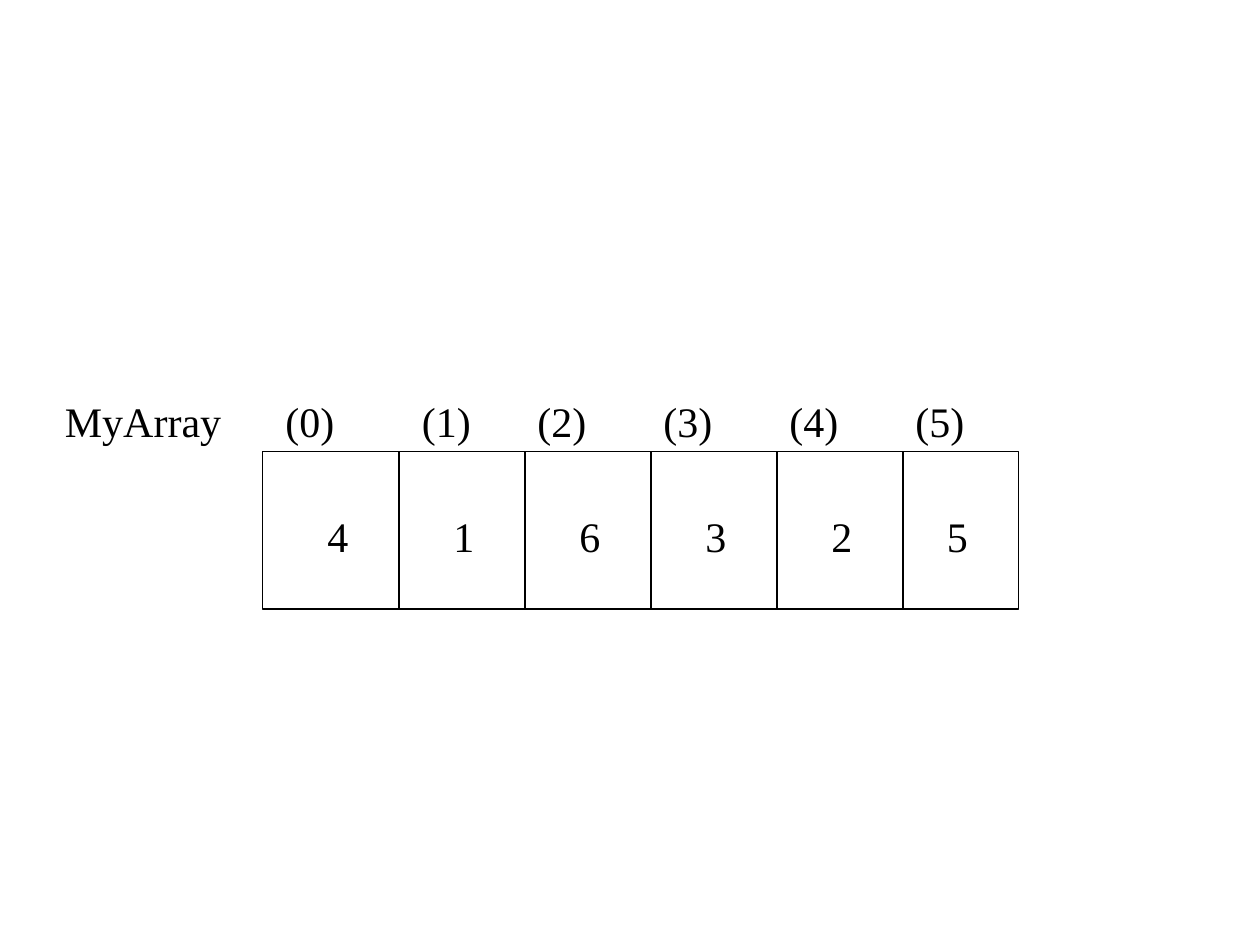
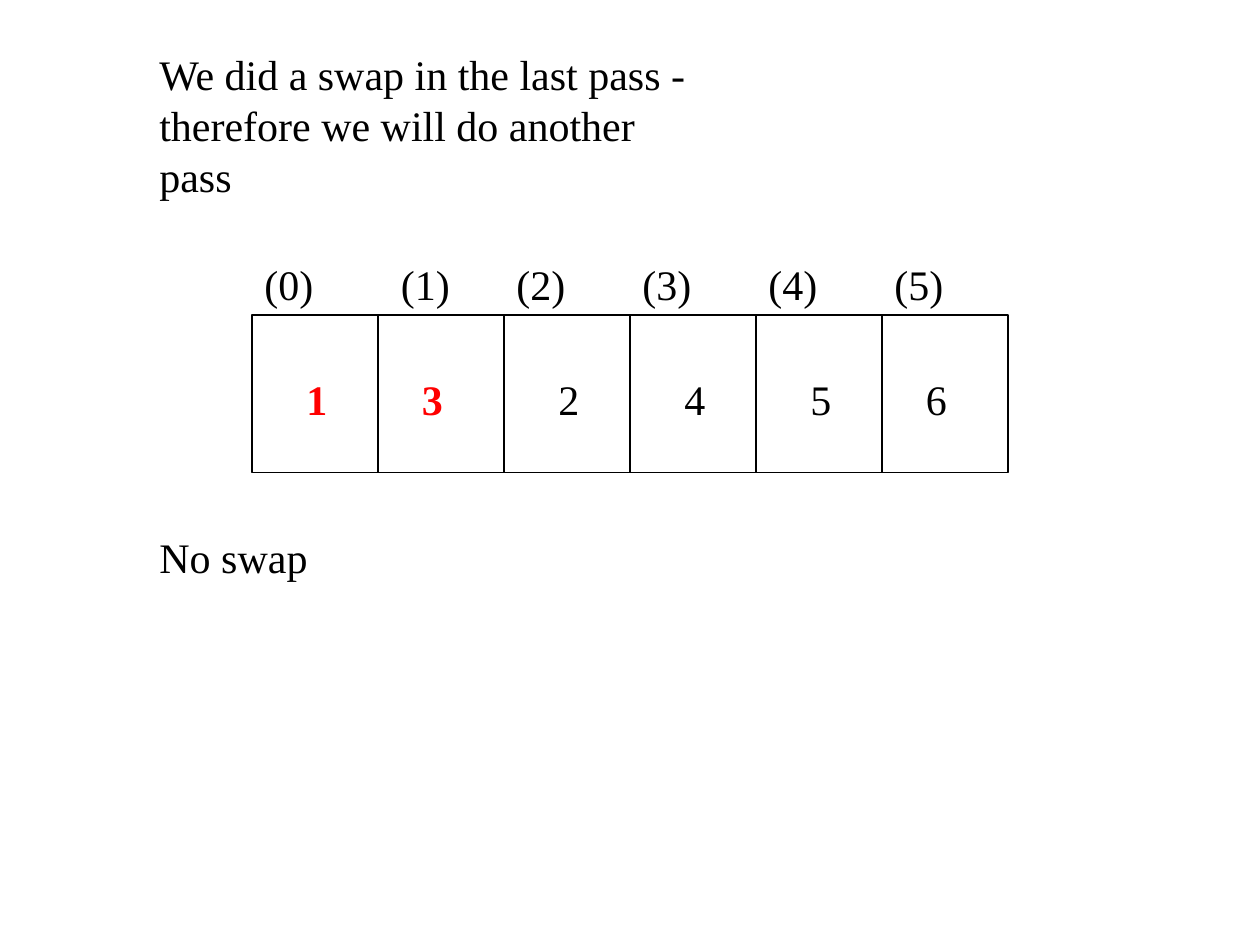
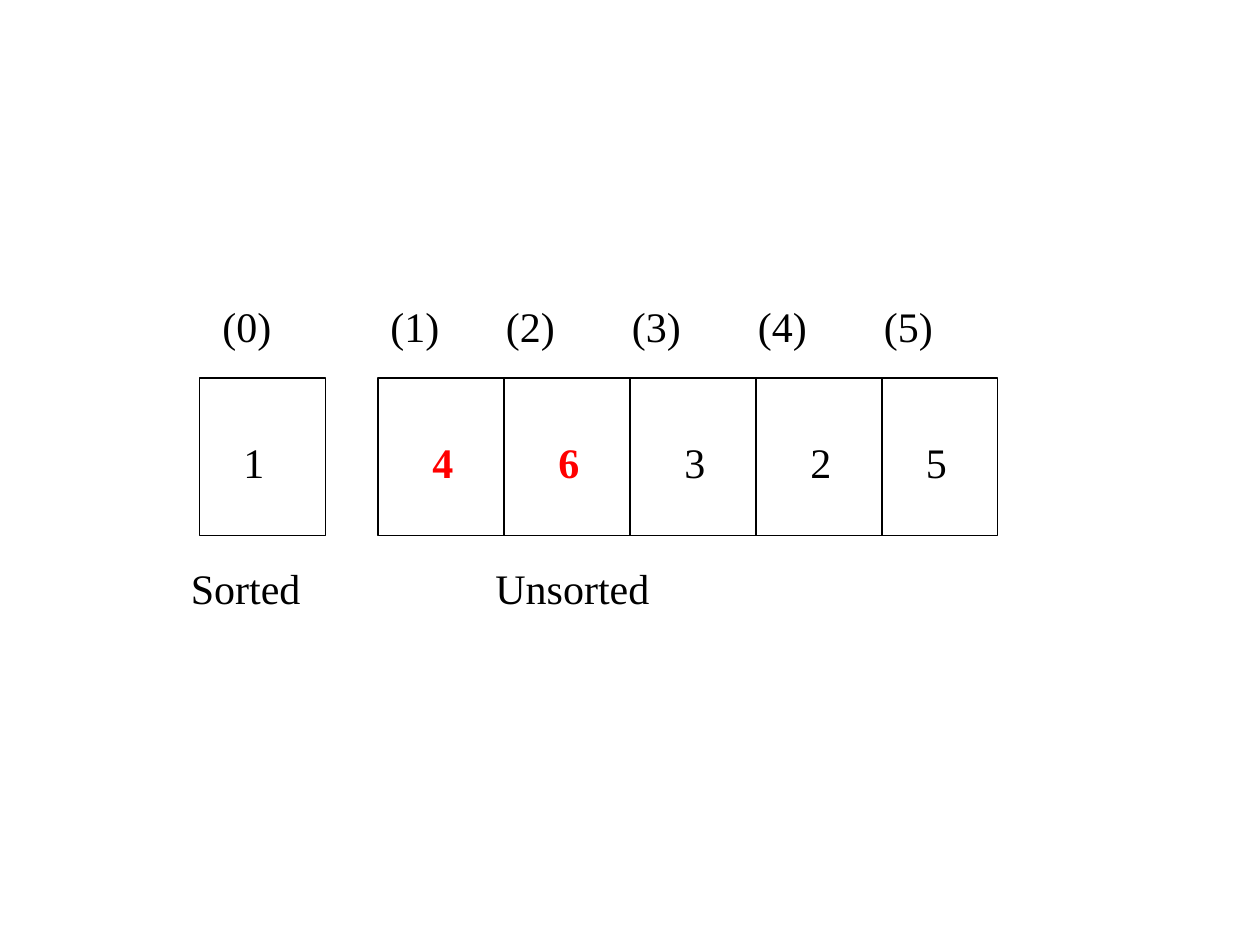
from dataclasses import dataclass

from pptx import Presentation
from pptx.dml.color import RGBColor as RGB
from pptx.enum.shapes import MSO_CONNECTOR as Conn, MSO_SHAPE as Shape
from pptx.enum.text import MSO_AUTO_SIZE as Fit
from pptx.oxml.ns import qn
from pptx.util import Pt
from lxml.etree import SubElement


@dataclass(frozen=True)
class Theme:
    font: str = "Times New Roman"
    size: float = 24
    lead: float = 29
    rule: float = 0.75
    ink: RGB = RGB(0, 0, 0)
    mark: RGB = RGB(255, 0, 0)


PITCH = 72
HIGH = 90
ROW = 36
INDEX_STEPS = (0, 78, 144, 216, 288, 360)
INDEX_WIDTHS = (60, 48, 48, 60, 66, 48)
VALUE_WIDTHS = (30, 36, 36, 30, 30, 42)


class Deck:
    def __init__(self, theme):
        self.theme = theme
        self.prs = Presentation()
        self.prs.slide_width, self.prs.slide_height = Pt(720), Pt(540)
        self.shapes = None

    def page(self):
        blank = self.prs.slide_layouts[6]
        self.shapes = self.prs.slides.add_slide(blank).shapes

    def text(self, words, left, top, width, high=ROW, hot=False):
        box = self.shapes.add_textbox(Pt(left), Pt(top), Pt(width), Pt(high))
        frame = box.text_frame
        frame.word_wrap = True
        frame.auto_size = Fit.SHAPE_TO_FIT_TEXT
        para = frame.paragraphs[0]
        para.text = words
        para.line_spacing = Pt(self.theme.lead)
        font = para.font
        font.name, font.size = self.theme.font, Pt(self.theme.size)
        font.bold = hot
        font.color.rgb = self.theme.mark if hot else self.theme.ink

    def pen(self, item):
        item.line.color.rgb = self.theme.ink
        item.line.width = Pt(self.theme.rule)

    def split(self, box, x):
        """Draw a divider down the box at x."""
        line = self.shapes.add_connector(
            Conn.STRAIGHT, Pt(x), box.top, Pt(x), box.top + box.height)
        self.pen(line)
        SubElement(line._element.spPr, qn("a:effectLst"))
        if Pt(x) == box.left + box.width // 2:
            line.begin_connect(box, 0)
            line.end_connect(box, 2)

    def cells(self, left, top, width, first=0, count=0):
        """Draw a box with evenly spaced dividers from x = first."""
        box = self.shapes.add_shape(
            Shape.RECTANGLE, Pt(left), Pt(top), Pt(width), Pt(HIGH))
        box.shadow.inherit = False
        box.fill.background()
        self.pen(box)
        for i in range(count):
            self.split(box, first + PITCH * i)

    def values(self, digits, left, top, nudges, hot=()):
        for i, (digit, width) in enumerate(zip(digits, VALUE_WIDTHS)):
            x = left + PITCH * i + nudges.get(i, 0)
            self.text(digit, x, top, width, hot=i in hot)

    def indices(self, left, top, shift=0):
        """Label the slots; shift moves slot 0 alone."""
        for i, (step, width) in enumerate(zip(INDEX_STEPS, INDEX_WIDTHS)):
            x = left + step + (0 if i else shift)
            self.text(f"({i})", x, top, width)


def start(deck):
    deck.page()
    deck.cells(150, 258, 432, first=228, count=5)
    deck.values("416325", 180, 288, {5: -6})
    deck.indices(156, 222)
    deck.text("MyArray", 30, 222, 132)


def bubble(deck):
    deck.page()
    deck.cells(144, 180, 432, first=216, count=5)
    deck.values("132456", 168, 210, {1: -6, 5: -6}, hot=(0, 1))
    deck.text("We did a swap in the last pass - therefore we will do "
              "another pass", 84, 24, 324, 94)
    deck.text("No swap", 84, 300, 126)
    deck.indices(144, 144)


def insert(deck):
    deck.page()
    deck.cells(216, 216, 354, first=288, count=4)
    deck.cells(114, 216, 72)
    deck.values("146325", 168, 246, {0: -36, 5: -6}, hot=(1, 2))
    deck.text("Sorted", 102, 318, 84)
    deck.text("Unsorted", 276, 318, 114)
    deck.indices(138, 168, shift=-18)


def main():
    deck = Deck(Theme())
    for draw in (start, bubble, insert):
        draw(deck)
    deck.prs.save("out.pptx")


if __name__ == "__main__":
    main()
